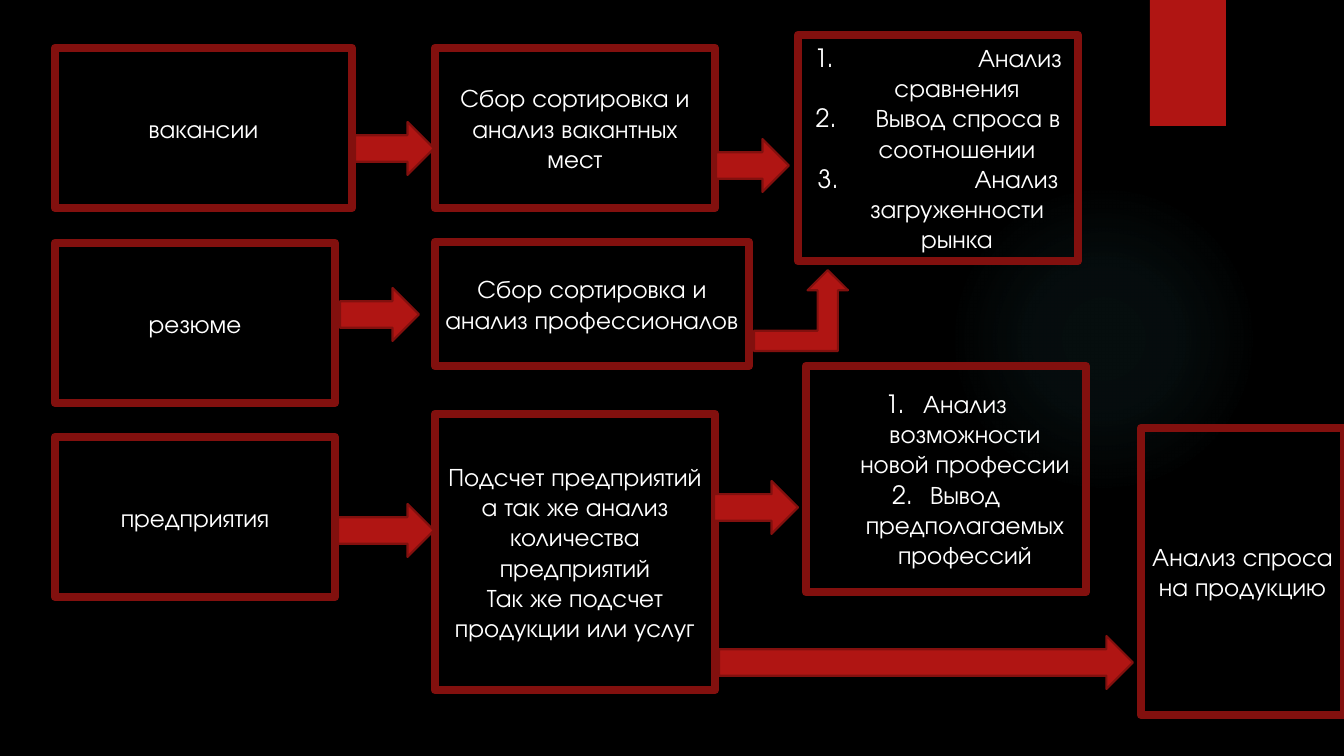
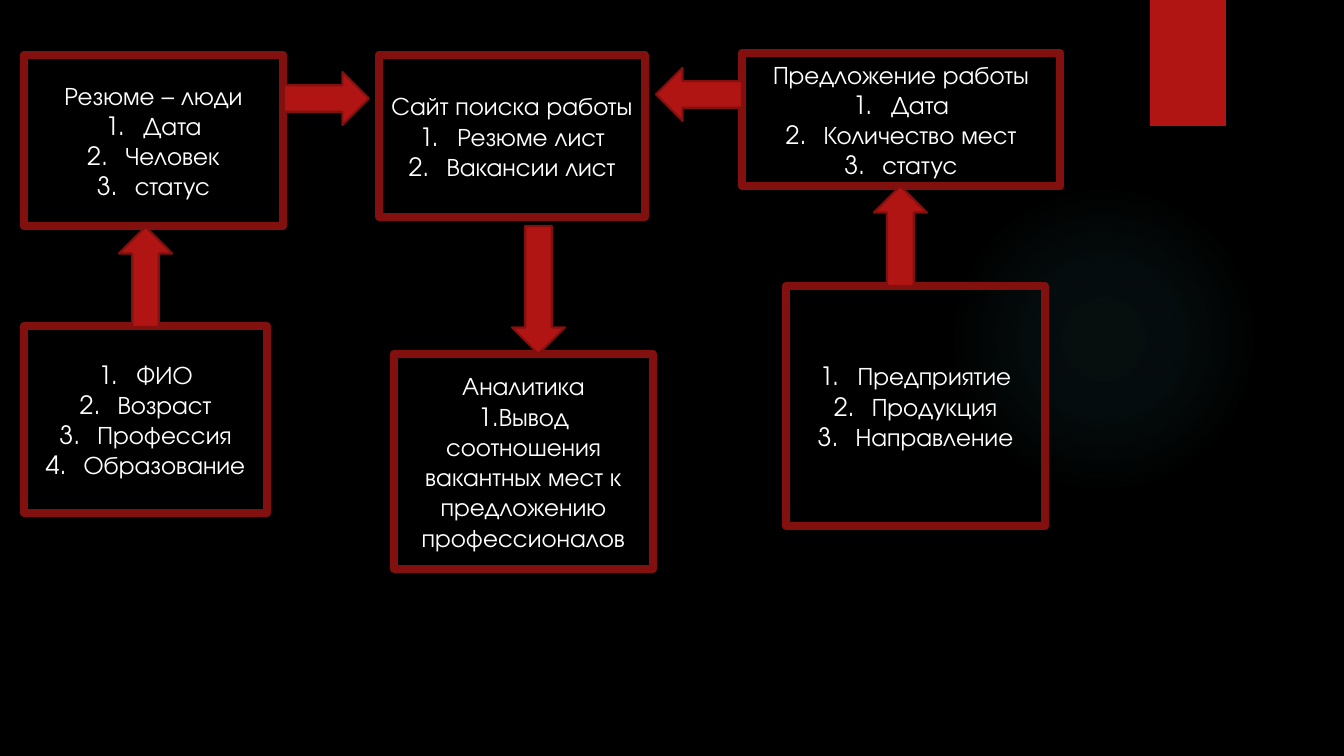
"""Build two flow diagrams of a job-market analysis service."""
from lxml.etree import SubElement
from pptx import Presentation
from pptx.dml.color import RGBColor
from pptx.enum.shapes import MSO_SHAPE
from pptx.enum.text import MSO_ANCHOR, PP_ALIGN
from pptx.oxml import parse_xml
from pptx.oxml.ns import nsdecls, qn
from pptx.util import Emu, Pt

EMU_PER_PX = 914400 / 100.8
FONT = "TeX Gyre Adventor"
BLACK, WHITE, RED, DARK_RED, GLOW = "000000", "FFFFFF", "B01513", "82100E", "50B9C1"
GLOW_STOPS = [(0, 7), (36, 6), (69, 0)]
LIST_INDENT = 38
INSET = 9

RIGHT, LEFT = MSO_SHAPE.RIGHT_ARROW, MSO_SHAPE.LEFT_ARROW
UP, DOWN, BENT = MSO_SHAPE.UP_ARROW, MSO_SHAPE.DOWN_ARROW, MSO_SHAPE.BENT_UP_ARROW


def numbered(*items):
    """Pair each item with its number and the usual list indent."""
    return [(number, item, LIST_INDENT) for number, item in enumerate(items, 1)]


SLIDES = [
    {
        "boxes": [
            ((55, 48, 297, 160), ["вакансии"]),
            ((55, 243, 280, 160), ["резюме"]),
            ((55, 437, 280, 160), ["предприятия"]),
            ((435, 48, 280, 160), ["Сбор сортировка и анализ вакантных мест"]),
            ((435, 242, 314, 124), ["Сбор сортировка и анализ профессионалов"]),
            ((435, 414, 280, 276), [
                "Подсчет предприятий а так же анализ количества предприятий",
                "Так же подсчет продукции или услуг",
            ]),
            ((798, 35, 280, 226), [
                (1, "Анализ", 164),
                (None, "сравнения", LIST_INDENT),
                (2, "Вывод спроса в", 60),
                (None, "соотношении", LIST_INDENT),
                (3, "Анализ", 157),
                (None, "загруженности рынка", LIST_INDENT),
            ]),
            ((806, 366, 280, 226), numbered(
                "Анализ возможности новой профессии",
                "Вывод предполагаемых профессий",
            )),
            ((1141, 428, 203, 287), ["Анализ спроса на продукцию"]),
        ],
        "arrows": [
            (RIGHT, (355, 122, 79, 53)),
            (RIGHT, (340, 288, 79, 53)),
            (RIGHT, (338, 504, 96, 53)),
            (RIGHT, (716, 139, 73, 53)),
            (BENT, (754, 270, 94, 81)),
            (RIGHT, (714, 481, 84, 53)),
            (RIGHT, (719, 636, 414, 53)),
        ],
    },
    {
        "boxes": [
            ((379, 55, 266, 162),
             ["Сайт поиска работы", *numbered("Резюме лист", "Вакансии лист")]),
            ((24, 55, 259, 171),
             ["Резюме – люди", *numbered("Дата", "Человек", "статус")]),
            ((742, 53, 318, 133),
             ["Предложение работы", *numbered("Дата", "Количество мест", "статус")]),
            ((24, 326, 243, 187),
             numbered("ФИО", "Возраст", "Профессия", "Образование")),
            ((786, 286, 259, 240),
             numbered("Предприятие", "Продукция", "Направление")),
            ((394, 354, 259, 215), [
                "Аналитика",
                "1.Вывод соотношения вакантных мест к предложению профессионалов",
            ]),
        ],
        "arrows": [
            (LEFT, (656, 68, 86, 53)),
            (RIGHT, (284, 72, 85, 53)),
            (UP, (119, 227, 53, 100)),
            (UP, (874, 186, 53, 100)),
            (DOWN, (512, 226, 53, 128)),
        ],
    },
]


def px(length):
    """Turn pixels into EMU."""
    return Emu(round(length * EMU_PER_PX))


def color(value):
    """Turn a hex string into a colour."""
    return RGBColor.from_string(value)


def add_preset(slide, kind, place, fill=None, line=None, width=1.5):
    """Add a flat preset shape with the given fill and outline."""
    shape = slide.shapes.add_shape(kind, *map(px, place))
    shape.shadow.inherit = False
    if fill:
        shape.fill.solid()
        shape.fill.fore_color.rgb = color(fill)
    else:
        shape.fill.background()
    if line:
        shape.line.color.rgb = color(line)
        shape.line.width = Pt(width)
    else:
        shape.line.fill.background()
    return shape


def write_text(paragraph, text, *, size=18, ink=WHITE, number=None, margin=0):
    """Write centred text, with a list number hanging in the margin if given."""
    paragraph.alignment = PP_ALIGN.CENTER
    run = paragraph.add_run()
    run.text = text
    run.font.name = FONT
    run.font.size = Pt(size)
    run.font.color.rgb = color(ink)
    if margin:
        properties = paragraph._p.get_or_add_pPr()
        properties.set("marL", str(px(margin)))
        if number:
            properties.set("indent", str(-px(margin)))
            SubElement(properties, qn("a:buAutoNum"), type="arabicPeriod",
                       startAt=str(number))


def add_box(slide, place, lines):
    """Add an outlined box holding plain and numbered lines."""
    box = add_preset(slide, MSO_SHAPE.RECTANGLE, place, line=DARK_RED, width=6)
    frame = box.text_frame
    frame.word_wrap = True
    frame.vertical_anchor = MSO_ANCHOR.MIDDLE
    frame.margin_left = frame.margin_right = px(INSET)
    for index, line in enumerate(lines):
        paragraph = frame.add_paragraph() if index else frame.paragraphs[0]
        number, text, margin = (None, line, 0) if isinstance(line, str) else line
        write_text(paragraph, text, number=number, margin=margin)


def add_decoration(slide):
    """Add the faint round glow and the red tab at the top."""
    glow = add_preset(slide, MSO_SHAPE.OVAL, (949, 184, 310, 310))
    stops = "".join(
        f'<a:gs pos="{position * 1000}"><a:srgbClr val="{GLOW}">'
        f'<a:alpha val="{alpha * 1000}"/></a:srgbClr></a:gs>'
        for position, alpha in GLOW_STOPS
    )
    gradient = parse_xml(
        f'<a:gradFill {nsdecls("a")}><a:gsLst>{stops}</a:gsLst><a:path path="circle">'
        '<a:fillToRect l="50000" t="50000" r="50000" b="50000"/></a:path></a:gradFill>'
    )
    properties = glow._element.spPr
    properties.replace(properties.find(qn("a:noFill")), gradient)
    add_preset(slide, MSO_SHAPE.RECTANGLE, (1150, 0, 76, 126), fill=RED)


def main():
    """Build the presentation and save it."""
    presentation = Presentation()
    presentation.slide_width, presentation.slide_height = px(1344), px(756)
    background = presentation.slide_master.background.fill
    background.solid()
    background.fore_color.rgb = color(BLACK)
    for content in SLIDES:
        slide = presentation.slides.add_slide(presentation.slide_layouts[6])
        add_decoration(slide)
        for place, lines in content["boxes"]:
            add_box(slide, place, lines)
        for kind, place in content["arrows"]:
            add_preset(slide, kind, place, fill=RED, line=DARK_RED)
    presentation.save("out.pptx")


if __name__ == "__main__":
    main()
